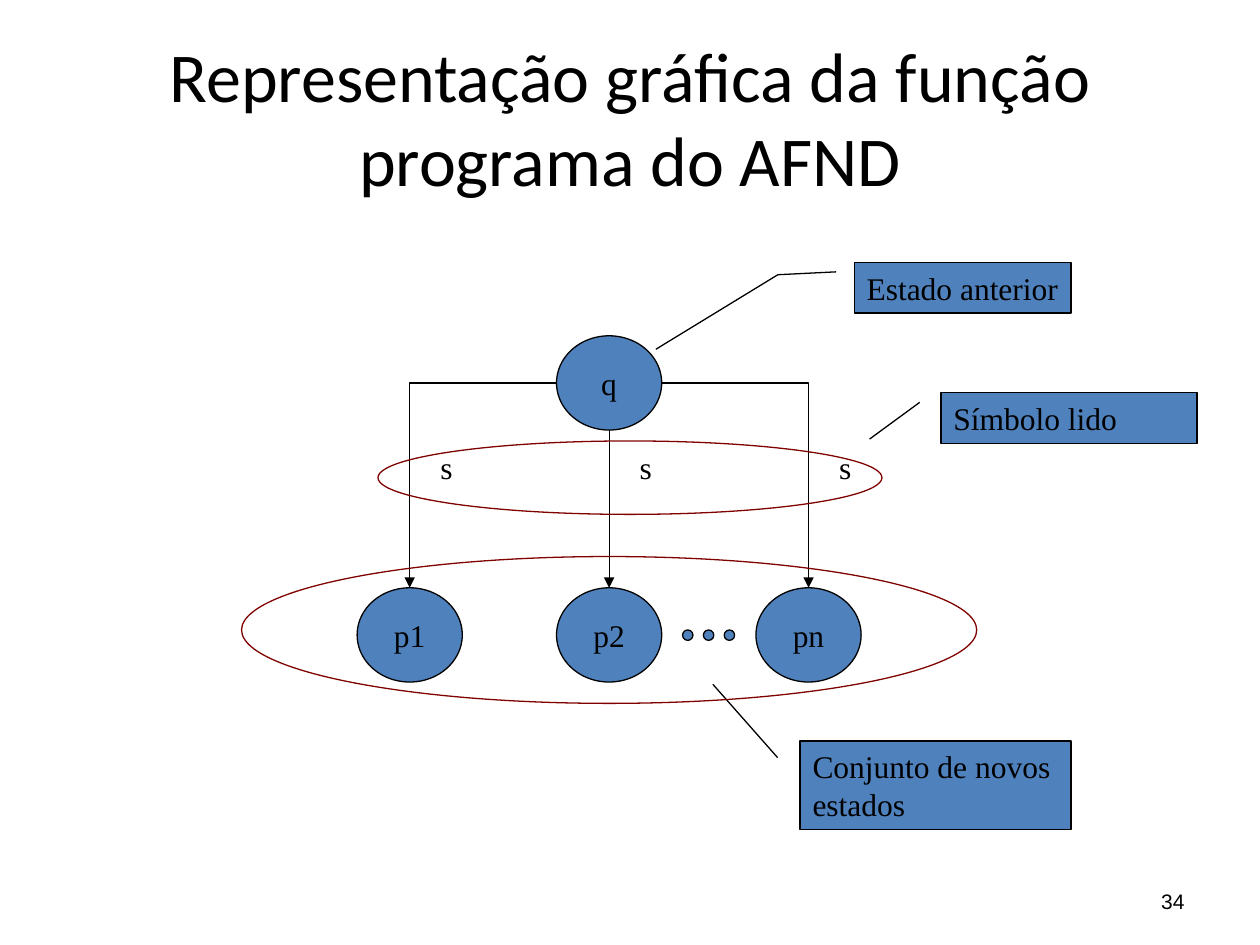
from dataclasses import dataclass

from lxml.etree import SubElement
from pptx import Presentation
from pptx.dml.color import RGBColor as Rgb
from pptx.enum.shapes import MSO_CONNECTOR as Link, MSO_SHAPE as Preset
from pptx.enum.text import MSO_ANCHOR as Anchor, MSO_AUTO_SIZE as AutoSize, PP_ALIGN as Align
from pptx.oxml.ns import qn
from pptx.shapes.autoshape import Shape
from pptx.slide import Slide
from pptx.util import Cm, Pt


@dataclass(frozen=True)
class Theme:
    ink: Rgb = Rgb(0x00, 0x00, 0x00)
    node: Rgb = Rgb(0x4F, 0x81, 0xBD)
    group: Rgb = Rgb(0x80, 0x00, 0x00)
    stroke: Pt = Pt(0.75)
    title_font: str = "Calibri"
    label_font: str = "Times New Roman"
    number_font: str = "Arial"
    title_size: Pt = Pt(40)
    label_size: Pt = Pt(18)
    number_size: Pt = Pt(12)


@dataclass(frozen=True)
class Box:
    left: float
    top: float
    width: float
    height: float

    def lengths(self) -> tuple[Cm, ...]:
        return tuple(Cm(v) for v in (self.left, self.top, self.width, self.height))


@dataclass(frozen=True)
class State:
    name: str
    center: float
    top: float


@dataclass(frozen=True)
class Callout:
    lines: tuple[str, ...]
    box: Box
    preset: Preset
    pointer: tuple[float, ...]
    wrap: bool = False


THEME = Theme()
STATE_W, STATE_H = 2.12, 1.9
MIDDLE, PITCH = 12.28, 4.02
Q_TOP, P_TOP = 6.77, 11.85
Q_BOTTOM = Q_TOP + STATE_H
SYMBOL_SIZE = 1.48
DOT_LEFT, DOT_TOP, DOT_PITCH, DOT_SIZE = 13.76, 12.7, 0.42, 0.21

PREVIOUS = State("q", MIDDLE, Q_TOP)
NEXT_STATES = [
    State(name, MIDDLE + step * PITCH, P_TOP)
    for name, step in (("p1", -1), ("p2", 0), ("pn", 1))
]
CALLOUTS = [
    Callout(("Estado anterior",), Box(17.22, 5.29, 4.37, 1.02), Preset.LINE_CALLOUT_2,
            (0.188, -0.083, 0.245, -0.352, 1.718, -0.915)),
    Callout(("Símbolo lido",), Box(18.97, 7.92, 5.16, 1.02), Preset.LINE_CALLOUT_1,
            (0.188, -0.083, 0.914, -0.279), wrap=True),
    Callout(("Conjunto de novos", "estados"), Box(16.13, 14.94, 5.46, 1.78),
            Preset.LINE_CALLOUT_1, (0.188, -0.083, -0.643, -0.322)),
]
GROUPS = [Box(4.87, 11.22, 14.82, 2.96), Box(7.62, 8.89, 10.16, 1.48)]


def write(holder: Shape, lines: tuple[str, ...], align: Align = Align.CENTER,
          anchor: Anchor = Anchor.MIDDLE, font: str = THEME.label_font,
          size: Pt = THEME.label_size, wrap: bool = False) -> None:
    frame = holder.text_frame
    frame.word_wrap = wrap
    frame.auto_size = AutoSize.NONE
    frame.vertical_anchor = anchor
    for index, line in enumerate(lines):
        paragraph = frame.add_paragraph() if index else frame.paragraphs[0]
        paragraph.alignment = align
        run = paragraph.add_run()
        run.text = line
        run.font.name = font
        run.font.size = size
        run.font.color.rgb = THEME.ink


def draw_shape(slide: Slide, preset: Preset, box: Box, fill: Rgb | None = THEME.node,
               line: Rgb = THEME.ink) -> Shape:
    shape = slide.shapes.add_shape(preset, *box.lengths())
    shape.shadow.inherit = False
    if fill is None:
        shape.fill.background()
    else:
        shape.fill.solid()
        shape.fill.fore_color.rgb = fill
    shape.line.color.rgb = line
    shape.line.width = THEME.stroke
    return shape


def draw_state(slide: Slide, state: State) -> None:
    box = Box(state.center - STATE_W / 2, state.top, STATE_W, STATE_H)
    write(draw_shape(slide, Preset.OVAL, box), (state.name,))


def draw_transition(slide: Slide, target: State) -> None:
    side = (target.center > MIDDLE) - (target.center < MIDDLE)
    start_x = MIDDLE + side * STATE_W / 2
    start_y = Q_TOP + STATE_H / 2 if side else Q_BOTTOM
    arrow = slide.shapes.add_connector(
        Link.ELBOW if side else Link.STRAIGHT,
        Cm(start_x), Cm(start_y), Cm(target.center), Cm(target.top))
    arrow.line.color.rgb = THEME.ink
    arrow.line.width = THEME.stroke
    properties = arrow._element.spPr
    if side:
        properties.find(qn("a:prstGeom")).set("prst", "bentConnector2")
    SubElement(properties.find(qn("a:ln")), qn("a:tailEnd"), type="triangle")
    SubElement(properties, qn("a:effectLst"))


def draw_symbol(slide: Slide, target: State) -> None:
    box = Box(target.center, Q_BOTTOM, SYMBOL_SIZE, SYMBOL_SIZE)
    write(slide.shapes.add_textbox(*box.lengths()), ("s",))


def draw_callout(slide: Slide, callout: Callout) -> None:
    shape = draw_shape(slide, callout.preset, callout.box)
    for index, value in enumerate(callout.pointer):
        shape.adjustments[index] = value
    write(shape, callout.lines, Align.LEFT, Anchor.TOP, wrap=callout.wrap)


def main() -> None:
    deck = Presentation()
    deck.slide_width, deck.slide_height = Cm(25.4), Cm(19.05)
    slide = deck.slides.add_slide(deck.slide_layouts[6])

    title = slide.shapes.add_textbox(*Box(1.27, 0.76, 22.86, 3.18).lengths())
    write(title, ("Representação gráfica da função programa do AFND",),
          font=THEME.title_font, size=THEME.title_size, wrap=True)
    number = slide.shapes.add_textbox(*Box(18.2, 17.65, 5.93, 1.02).lengths())
    write(number, ("34",), Align.RIGHT, font=THEME.number_font,
          size=THEME.number_size, wrap=True)

    for state in (PREVIOUS, *NEXT_STATES):
        draw_state(slide, state)
    for target in NEXT_STATES:
        draw_transition(slide, target)
        draw_symbol(slide, target)
    for callout in CALLOUTS:
        draw_callout(slide, callout)
    for group in GROUPS:
        draw_shape(slide, Preset.OVAL, group, fill=None, line=THEME.group)
    for step in range(3):
        dot = Box(DOT_LEFT + step * DOT_PITCH, DOT_TOP, DOT_SIZE, DOT_SIZE)
        draw_shape(slide, Preset.OVAL, dot)

    deck.save("out.pptx")


if __name__ == "__main__":
    main()
